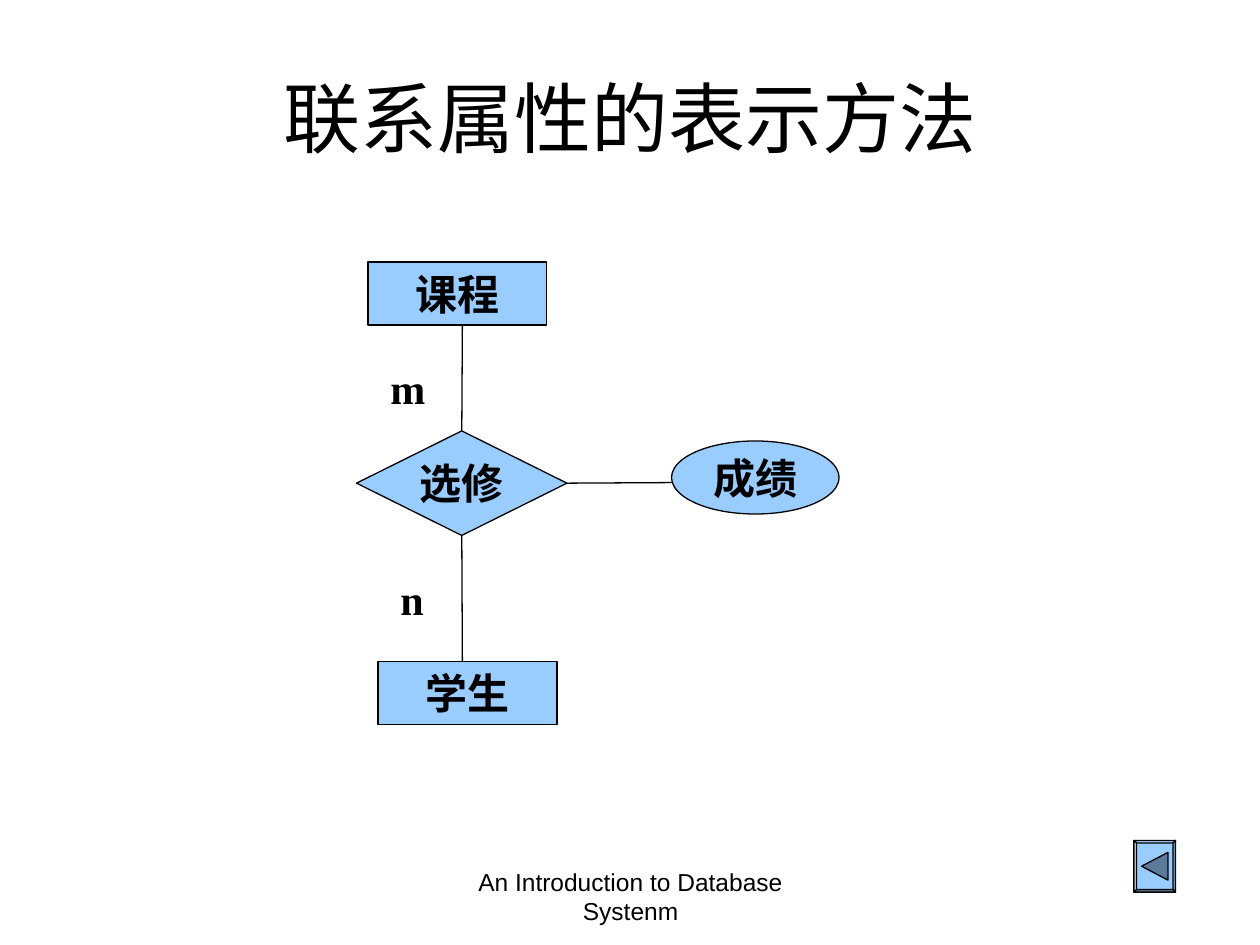
from lxml.etree import SubElement
from pptx import Presentation
from pptx.dml.color import RGBColor
from pptx.enum.shapes import MSO_CONNECTOR, MSO_SHAPE
from pptx.enum.text import MSO_ANCHOR, PP_ALIGN
from pptx.oxml.ns import qn
from pptx.util import Inches, Pt

BLACK = "000000"
BLUE = "99CCFF"
TOP, BOTTOM, RIGHT = 0, 2, 3


def color(hex_code):
    return RGBColor.from_string(hex_code)


class Diagram:
    """Holds the slide and the style of its elements."""

    font_name = "Times New Roman"
    font_size = 24
    line_width = Pt(0.75)

    def __init__(self, slide):
        self.slide = slide

    def set_text(self, shape, text, align=PP_ALIGN.CENTER, anchor=MSO_ANCHOR.MIDDLE,
                 wrap=True, name=font_name, size=font_size, bold=True):
        frame = shape.text_frame
        frame.word_wrap = wrap
        frame.vertical_anchor = anchor
        paragraph = frame.paragraphs[0]
        paragraph.text = text
        paragraph.alignment = align
        font = paragraph.font
        font.name, font.size, font.bold = name, Pt(size), bold
        font.color.rgb = color(BLACK)

    def paint(self, shape, fill):
        shape.shadow.inherit = False
        shape.fill.solid()
        shape.fill.fore_color.rgb = color(fill)
        shape.line.color.rgb = color(BLACK)
        shape.line.width = self.line_width

    def label(self, text, left, top, width, height, **style):
        box = self.slide.shapes.add_textbox(
            Inches(left), Inches(top), Inches(width), Inches(height))
        self.set_text(box, text, **style)

    def node(self, kind, text, left, top, width, height, wrap=True):
        shape = self.slide.shapes.add_shape(
            kind, Inches(left), Inches(top), Inches(width), Inches(height))
        self.paint(shape, BLUE)
        self.set_text(shape, text, wrap=wrap)
        return shape

    def link(self, source, side, start, end):
        connector = self.slide.shapes.add_connector(
            MSO_CONNECTOR.STRAIGHT, *(Inches(value) for value in start + end))
        connector.begin_connect(source, side)
        connector.line.color.rgb = color(BLACK)
        connector.line.width = self.line_width
        SubElement(connector._element.spPr, qn("a:effectLst"))

    def polygon(self, points, fill):
        start, *rest = [(Inches(x), Inches(y)) for x, y in points]
        builder = self.slide.shapes.build_freeform(*start)
        builder.add_line_segments(rest, close=True)
        self.paint(builder.convert_to_shape(), fill)

    def back_button(self, left, top, width, height, bevel):
        def corners(inset):
            x1, y1 = left + inset, top + inset
            x2, y2 = left + width - inset, top + height - inset
            return [(x1, y1), (x2, y1), (x2, y2), (x1, y2)]

        outer, inner = corners(0), corners(bevel)
        self.polygon(outer, BLUE)
        # Bevelled edges: top, right, bottom, left
        for i, shade in enumerate(["ADD6FF", "7AA3CC", "5C7A99", "C2E0FF"]):
            j = (i + 1) % 4
            self.polygon([outer[i], outer[j], inner[j], inner[i]], shade)
        # Arrow pointing back
        middle = top + height / 2
        tip, base, half = left + 0.06, left + 0.27, 0.11
        self.polygon([(tip, middle), (base, middle - half), (base, middle + half)],
                     "5C7A99")


def main():
    prs = Presentation()
    prs.slide_width, prs.slide_height = Inches(10), Inches(7.5)
    diagram = Diagram(prs.slides.add_slide(prs.slide_layouts[6]))

    # Title
    diagram.label("联系属性的表示方法", 0.5, 0.3, 9, 1.25,
                  name="Arial", size=44, bold=False)

    # Entities, relationship and its attribute
    diagram.node(MSO_SHAPE.RECTANGLE, "课程", 2.92, 2.08, 1.42, 0.5)
    elective = diagram.node(MSO_SHAPE.DIAMOND, "选修", 2.83, 3.42, 1.67, 0.83, wrap=False)
    diagram.node(MSO_SHAPE.RECTANGLE, "学生", 3, 5.25, 1.42, 0.5)
    diagram.node(MSO_SHAPE.OVAL, "成绩", 5.33, 3.5, 1.33, 0.58, wrap=False)

    # Links from the relationship
    diagram.link(elective, TOP, (3.67, 3.42), (3.67, 2.58))
    diagram.link(elective, BOTTOM, (3.67, 4.25), (3.67, 5.25))
    diagram.link(elective, RIGHT, (4.5, 3.83), (5.33, 3.83))

    # Cardinalities
    for cardinality, left, top in [("m", 3, 2.83), ("n", 3.08, 4.5)]:
        diagram.label(cardinality, left, top, 0.42, 0.5,
                      align=PP_ALIGN.LEFT, anchor=MSO_ANCHOR.TOP)

    # Back button and footer
    diagram.back_button(9, 6.67, 0.33, 0.41, bevel=0.02)
    diagram.label("An Introduction to Database Systenm", 3.42, 6.83, 3.17, 0.52,
                  anchor=MSO_ANCHOR.TOP, name="Arial", size=14, bold=False)

    prs.save("out.pptx")


if __name__ == "__main__":
    main()
